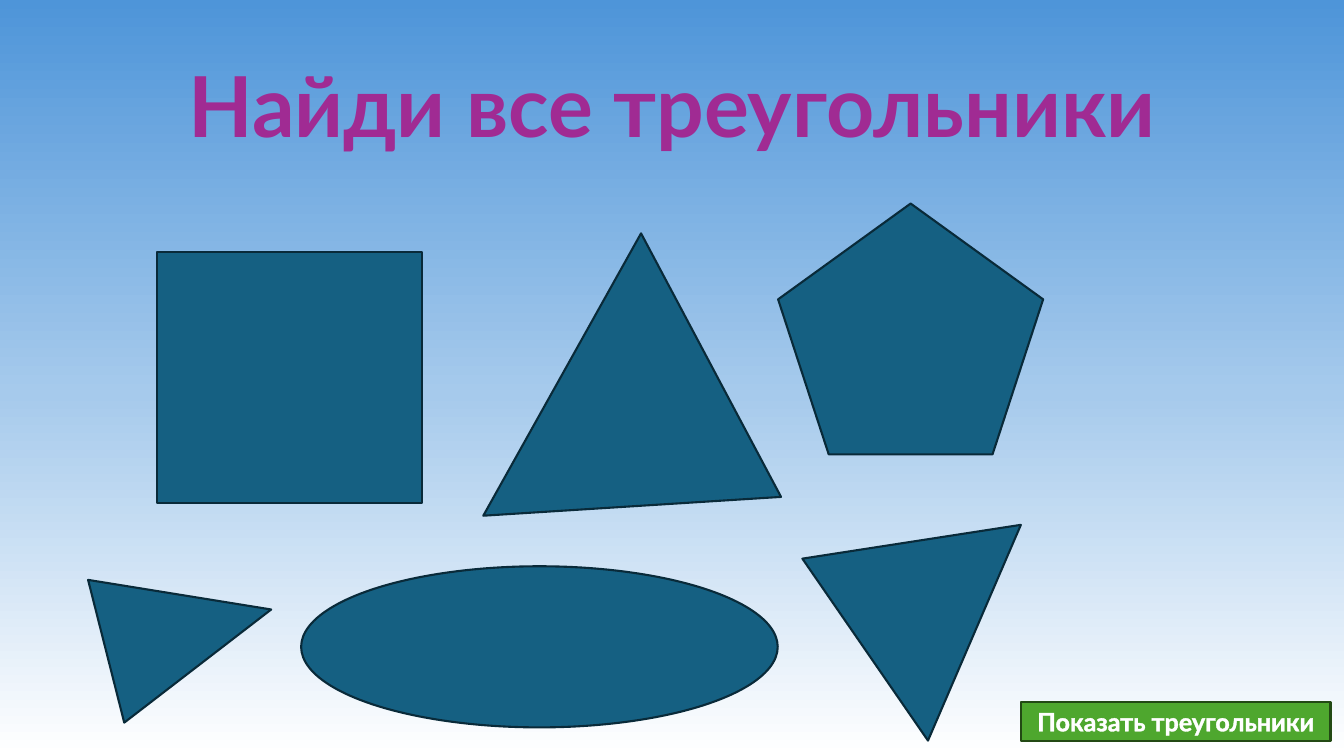
from copy import deepcopy

from lxml import etree
from pptx import Presentation
from pptx.dml.color import RGBColor
from pptx.enum.shapes import MSO_SHAPE
from pptx.enum.text import MSO_ANCHOR, MSO_AUTO_SIZE, PP_ALIGN
from pptx.oxml.ns import qn
from pptx.util import Cm, Pt

TRI = MSO_SHAPE.ISOSCELES_TRIANGLE
RECT = MSO_SHAPE.RECTANGLE
OVAL = MSO_SHAPE.OVAL
PENTA = MSO_SHAPE.REGULAR_PENTAGON
BUTTON = MSO_SHAPE.ACTION_BUTTON_CUSTOM
BOTTOM, MIDDLE = MSO_ANCHOR.BOTTOM, MSO_ANCHOR.MIDDLE
CENTER = PP_ALIGN.CENTER
NO_FIT = MSO_AUTO_SIZE.NONE

THEME = {
    "sky": [(0, "4E95D9"), (0.52, "A6CAEC"), (1, "FFFFFF")],
    "figure": ("156082", "092A39"),
    "button": ("4EA72E", "224914"),
    "title": {"name": "Lato", "size": Pt(60), "bold": True, "color": "A02B93"},
    "label": {"name": "Lato", "size": Pt(18), "bold": True, "color": "FFFFFF"},
    "edge": "FFFFFF",
    "line": Pt(1.5),
}


def put_text(shape, text, style, anchor, edge):
    frame = shape.text_frame
    form = {"word_wrap": True, "auto_size": NO_FIT, "vertical_anchor": anchor}
    for key, value in form.items():
        setattr(frame, key, value)
    para = frame.paragraphs[0]
    para.alignment = CENTER
    run = para.add_run()
    run.text = text
    for key, value in style.items():
        if key == "color":
            run.font.color.rgb = RGBColor.from_string(value)
        else:
            setattr(run.font, key, value)
    line = etree.Element(qn("a:ln"), w=str(Pt(edge)))
    fill = etree.SubElement(line, qn("a:solidFill"))
    etree.SubElement(fill, qn("a:srgbClr"), val=THEME["edge"])
    run.font._element.insert(0, line)
    return para


def add_shape(kind, box, turn, colors):
    shape = slide.shapes.add_shape(kind, *map(Cm, box))
    shape.rotation = turn
    shape.shadow.inherit = False
    fill, line = map(RGBColor.from_string, colors)
    shape.fill.solid()
    shape.fill.fore_color.rgb = fill
    shape.line.color.rgb = line
    shape.line.width = THEME["line"]
    return shape


deck = Presentation()
deck.slide_width, deck.slide_height = Cm(33.87), Cm(19.05)
slide = deck.slides.add_slide(deck.slide_layouts[5])

sky = slide.background.fill
sky.gradient()
sky.gradient_angle = 270
first = slide.element.xpath(".//a:gs")[0]
first.addnext(deepcopy(first))
for stop, (place, color) in zip(sky.gradient_stops, THEME["sky"]):
    stop.position = place
    stop.color.rgb = RGBColor.from_string(color)

title = slide.shapes.title
place = {"left": 4.24, "top": 1.37, "width": 25.4, "height": 2.69}
for key, value in place.items():
    setattr(title, key, Cm(value))
para = put_text(title, "Найди все треугольники", THEME["title"], BOTTOM, 0.75)
para.line_spacing = 0.9

figures = [
    (TRI, (2.9, 13.74, 3.71, 4.29), 75.8),
    (RECT, (3.96, 6.35, 6.68, 6.32), 0),
    (TRI, (12.85, 7.82, 8.15, 6.32), 119.2),
    (TRI, (19.43, 12.65, 5.92, 4.72), 293.3),
    (OVAL, (7.59, 14.27, 12.01, 4.06), 0),
    (PENTA, (19.61, 5.13, 6.68, 6.32), 0),
]
for kind, box, turn in figures:
    add_shape(kind, box, turn, THEME["figure"])

button = add_shape(BUTTON, (25.73, 17.68, 7.8, 0.99), 0, THEME["button"])
put_text(button, "Показать треугольники", THEME["label"], MIDDLE, 0.8)

deck.save("out.pptx")
